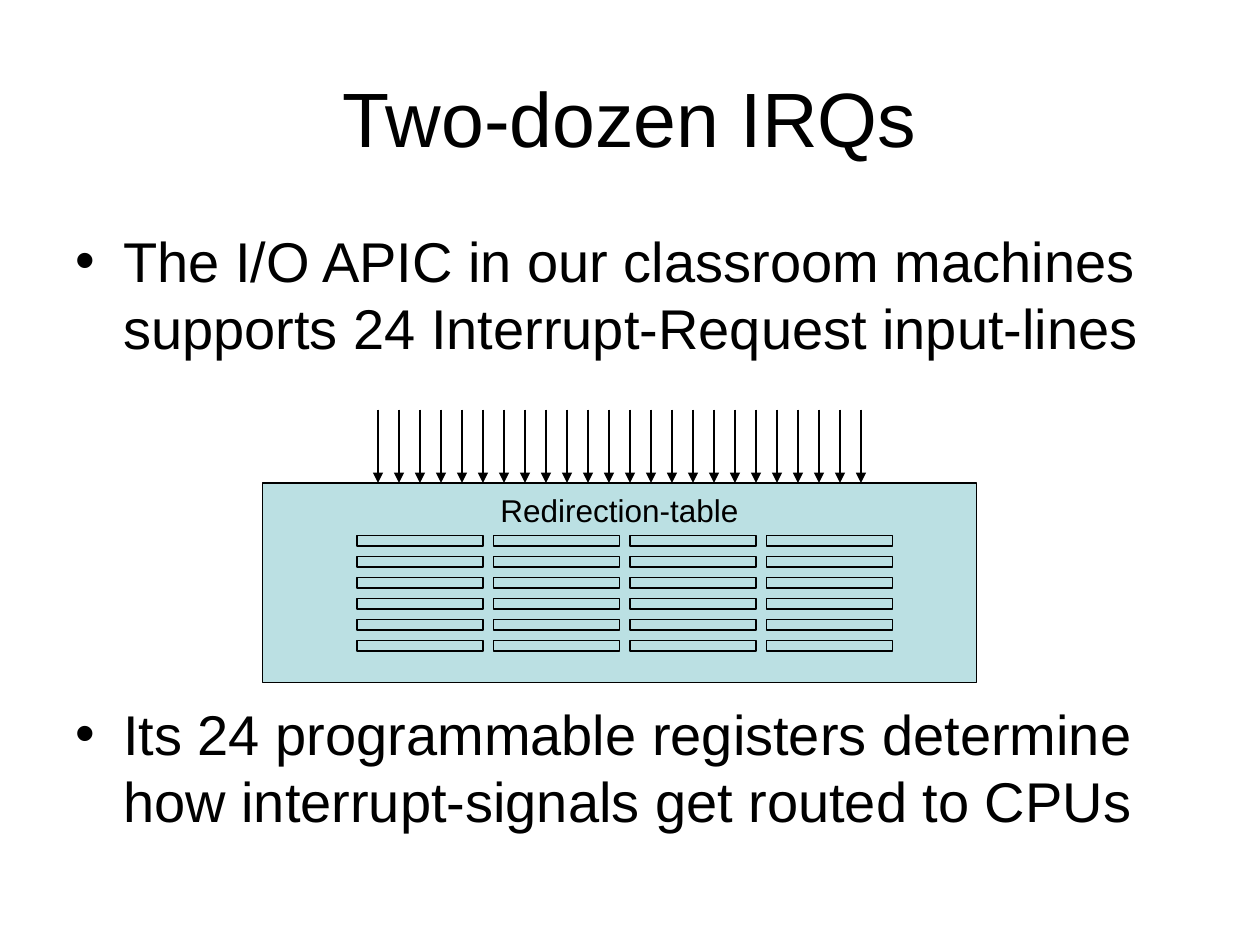
from dataclasses import dataclass

from lxml import etree
from pptx import Presentation
from pptx import util as u
from pptx.dml.color import RGBColor
from pptx.enum import shapes, text
from pptx.oxml import ns

UNIT = u.Inches(1) / 12


@dataclass(frozen=True)
class Theme:
    font: str = "Arial"
    ink: RGBColor = RGBColor(0, 0, 0)
    panel: RGBColor = RGBColor(0xBB, 0xE0, 0xE3)
    title: float = 44
    body: float = 32
    label: float = 18
    line: float = 0.75
    body_pitch: float = 38.3
    bullet_gap: float = 193.5


THEME = Theme()


def grid(*cells):
    return [round(c * UNIT) for c in cells]


def add_run(p, words, size):
    r = p.add_run()
    r.text = words
    r.font.name = THEME.font
    r.font.size = u.Pt(size)
    r.font.color.rgb = THEME.ink


def add_text_box(slide, box):
    tf = slide.shapes.add_textbox(*grid(*box)).text_frame
    tf.word_wrap = True
    return tf


def add_panel(slide, box):
    sp = slide.shapes.add_shape(shapes.MSO_SHAPE.RECTANGLE, *grid(*box))
    sp.shadow.inherit = False
    sp.fill.solid()
    sp.fill.fore_color.rgb = THEME.panel
    sp.line.color.rgb = THEME.ink
    sp.line.width = u.Pt(THEME.line)
    return sp


def add_arrow(slide, x, top, bottom):
    ends = grid(x, top, x, bottom)
    cx = slide.shapes.add_connector(shapes.MSO_CONNECTOR.STRAIGHT, *ends)
    cx.line.color.rgb = THEME.ink
    cx.line.width = u.Pt(THEME.line)
    etree.SubElement(cx.line._get_or_add_ln(), ns.qn("a:tailEnd"), type="triangle")
    etree.SubElement(cx._element.spPr, ns.qn("a:effectLst"))


def add_title(slide, box, words):
    tf = add_text_box(slide, box)
    tf.vertical_anchor = text.MSO_ANCHOR.MIDDLE
    p = tf.paragraphs[0]
    p.alignment = text.PP_ALIGN.CENTER
    add_run(p, words, THEME.title)


def add_bullets(slide, box, items):
    tf = add_text_box(slide, box)
    for i, words in enumerate(items):
        p = tf.add_paragraph() if i else tf.paragraphs[0]
        p.line_spacing = u.Pt(THEME.body_pitch)
        p.space_before = u.Pt(THEME.bullet_gap if i else 8)
        pPr = p._p.get_or_add_pPr()
        indent = u.Inches(0.38)
        pPr.set("marL", str(indent))
        pPr.set("indent", str(-indent))
        etree.SubElement(pPr, ns.qn("a:buFont"), typeface=THEME.font)
        etree.SubElement(pPr, ns.qn("a:buChar"), char="•")
        add_run(p, words, THEME.body)


def add_input_lines(slide, box, count):
    left, top, width, height = box
    step = width / (count - 1)
    for i in range(count):
        add_arrow(slide, left + i * step, top, top + height)


def add_redirection_table(slide, box, columns, rows):
    left, top = box[:2]
    tf = add_panel(slide, box).text_frame
    tf.vertical_anchor = text.MSO_ANCHOR.TOP
    tf.margin_top = u.Inches(0.06)
    p = tf.paragraphs[0]
    p.alignment = text.PP_ALIGN.CENTER
    add_run(p, "Redirection-table", THEME.label)
    for row in range(rows):
        for column in range(columns):
            add_panel(slide, (left + 9 + 13 * column, top + 5 + 2 * row, 12, 1))


def main():
    prs = Presentation()
    prs.slide_width, prs.slide_height = grid(120, 90)
    slide = prs.slides.add_slide(prs.slide_layouts[6])
    add_bullets(slide, (6, 21, 108, 59.4), [
        "The I/O APIC in our classroom machines supports 24 Interrupt-Request input-lines",
        "Its 24 programmable registers determine how interrupt-signals get routed to CPUs",
    ])
    add_title(slide, (6, 3.6, 108, 15), "Two-dozen IRQs")
    add_redirection_table(slide, (25, 46, 68, 19), columns=4, rows=6)
    add_input_lines(slide, (36, 39, 46, 7), count=24)
    prs.save("out.pptx")


if __name__ == "__main__":
    main()
